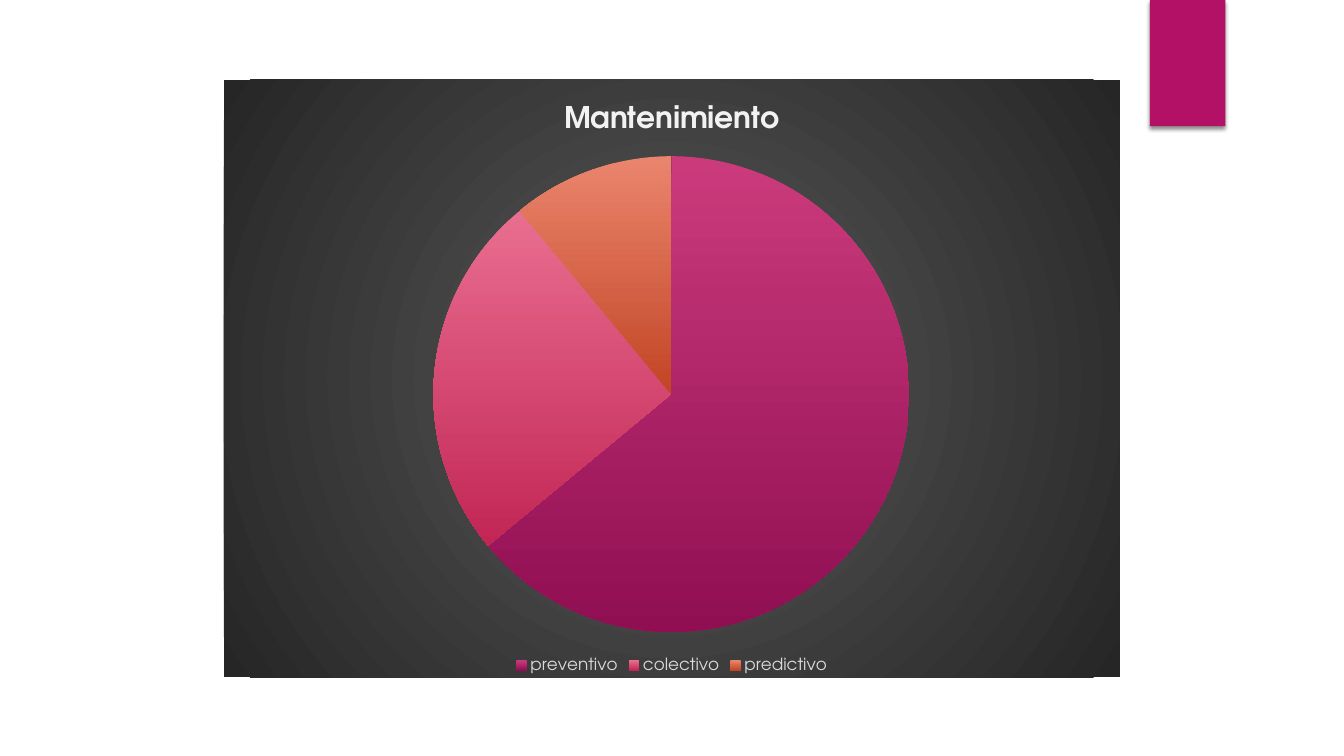
"""Build the maintenance pie chart slide."""
from dataclasses import dataclass

from lxml import etree
from pptx import Presentation
from pptx import util as u
from pptx.chart.chart import Chart
from pptx.chart.data import CategoryChartData
from pptx.dml.color import RGBColor
from pptx.enum import chart as ch
from pptx.enum import shapes
from pptx.oxml import parse_xml
from pptx.oxml.ns import qn

FONT = "TeX Gyre Adventor"
TITLE = "Mantenimiento"
WHITE = RGBColor(0xFF, 0xFF, 0xFF)
BLACK = RGBColor(0x00, 0x00, 0x00)
MAGENTA = RGBColor(0xB3, 0x11, 0x66)
TITLE_GREY = RGBColor(0xF2, 0xF2, 0xF2)
LEGEND_GREY = RGBColor(0xD9, 0xD9, 0xD9)
PANEL_CENTER = RGBColor(0x59, 0x59, 0x59)
PANEL_EDGE = RGBColor(0x26, 0x26, 0x26)
NS = (
    'xmlns:a="http://schemas.openxmlformats.org/drawingml/2006/main" '
    'xmlns:c="http://schemas.openxmlformats.org/drawingml/2006/chart"'
)


@dataclass(frozen=True)
class Slice:
    name: str
    value: int
    top: RGBColor
    bottom: RGBColor


SLICES = [
    Slice("preventivo", 64, RGBColor(0xCB, 0x3B, 0x7C), RGBColor(0x90, 0x0E, 0x52)),
    Slice("colectivo", 25, RGBColor(0xE9, 0x6E, 0x90), RGBColor(0xC2, 0x26, 0x55)),
    Slice("predictivo", 11, RGBColor(0xEA, 0x85, 0x6D), RGBColor(0xC2, 0x45, 0x25)),
]


def style_font(font, size: float, color: RGBColor, bold: bool = False) -> None:
    font.name, font.size, font.bold = FONT, u.Pt(size), bold
    font.color.rgb = color


def add_tab(s) -> None:
    sp = s.shapes.add_shape(
        shapes.MSO_SHAPE.RECTANGLE, u.Cm(28.98), 0, u.Cm(1.9), u.Cm(3.18)
    )
    sp.fill.solid()
    sp.fill.fore_color.rgb = MAGENTA
    sp.line.fill.background()
    sp.shadow.inherit = False
    effects = sp.element.spPr.find(qn("a:effectLst"))
    effects.append(parse_xml(
        f'<a:outerShdw {NS} blurRad="{u.Pt(3)}" dist="{u.Pt(2)}" dir="5400000" '
        f'rotWithShape="0"><a:srgbClr val="{BLACK}"><a:alpha val="45000"/>'
        '</a:srgbClr></a:outerShdw>'
    ))


def style_panel(chart: Chart) -> None:
    node = chart.element.find(qn("c:chart"))
    node.addprevious(parse_xml(f'<c:roundedCorners {NS} val="0"/>'))
    node.addnext(parse_xml(
        f'<c:spPr {NS}><a:gradFill><a:gsLst>'
        f'<a:gs pos="0"><a:srgbClr val="{PANEL_CENTER}"/></a:gs>'
        f'<a:gs pos="100000"><a:srgbClr val="{PANEL_EDGE}"/></a:gs></a:gsLst>'
        '<a:path path="circle"><a:fillToRect l="50000" t="50000" r="50000" '
        'b="50000"/></a:path></a:gradFill><a:ln><a:noFill/></a:ln></c:spPr>'
    ))


def place_pie(chart: Chart) -> None:
    area = chart.element.find(qn("c:chart")).find(qn("c:plotArea"))
    for old in area.findall(qn("c:layout")):
        area.remove(old)
    layout = parse_xml(
        f'<c:layout {NS}><c:manualLayout><c:layoutTarget val="inner"/>'
        '<c:xMode val="edge"/><c:yMode val="edge"/></c:manualLayout></c:layout>'
    )
    for tag, share in (("x", 0.234), ("y", 0.128), ("w", 0.531), ("h", 0.796)):
        etree.SubElement(layout[0], qn(f"c:{tag}")).set("val", str(share))
    area.insert(0, layout)


def add_pie(s) -> None:
    data = CategoryChartData()
    data.categories = [part.name for part in SLICES]
    data.add_series(TITLE, [part.value for part in SLICES])
    chart = s.shapes.add_chart(
        ch.XL_CHART_TYPE.PIE, u.Cm(5.64), u.Cm(2.01), u.Cm(22.58), u.Cm(15.06), data
    ).chart
    style_font(chart.font, 10, BLACK)
    chart.has_title = True
    p = chart.chart_title.text_frame.paragraphs[0]
    r = p.add_run()
    r.text = TITLE
    style_font(r.font, 21.3, TITLE_GREY, bold=True)
    chart.chart_title.include_in_layout = False
    chart.has_legend = True
    chart.legend.position = ch.XL_LEGEND_POSITION.BOTTOM
    chart.legend.include_in_layout = False
    style_font(chart.legend.font, 12, LEGEND_GREY)
    plot = chart.plots[0]
    plot.vary_by_categories = True
    for i, part in enumerate(SLICES):
        fmt = plot.series[0].points[i].format
        fmt.fill.gradient()
        fmt.fill.gradient_angle = 270
        for stop, color in zip(fmt.fill.gradient_stops, (part.top, part.bottom)):
            stop.color.rgb = color
        fmt.line.fill.background()
    style_panel(chart)
    place_pie(chart)


def main() -> None:
    prs = Presentation()
    prs.slide_width, prs.slide_height = u.Cm(33.87), u.Cm(19.05)
    s = prs.slides.add_slide(prs.slide_layouts[6])
    s.background.fill.solid()
    s.background.fill.fore_color.rgb = WHITE
    add_tab(s)
    add_pie(s)
    prs.save("out.pptx")


if __name__ == "__main__":
    main()
